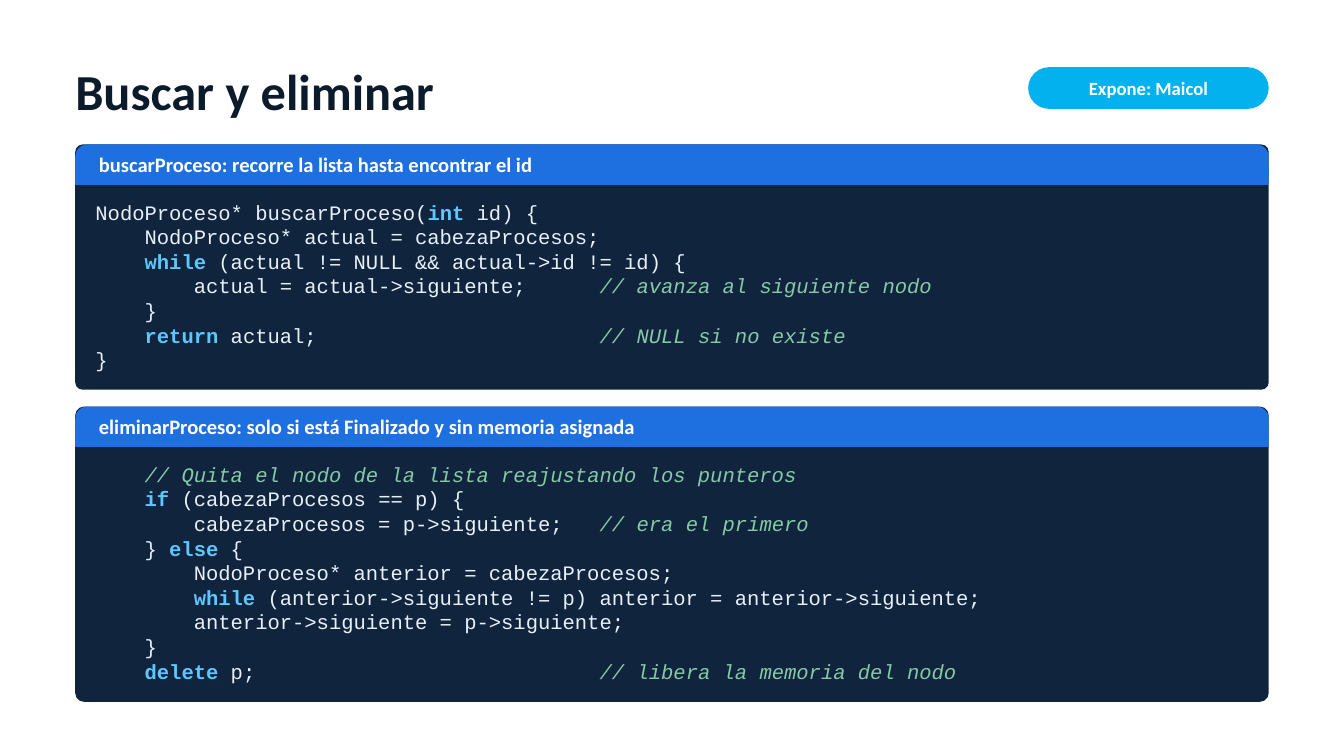
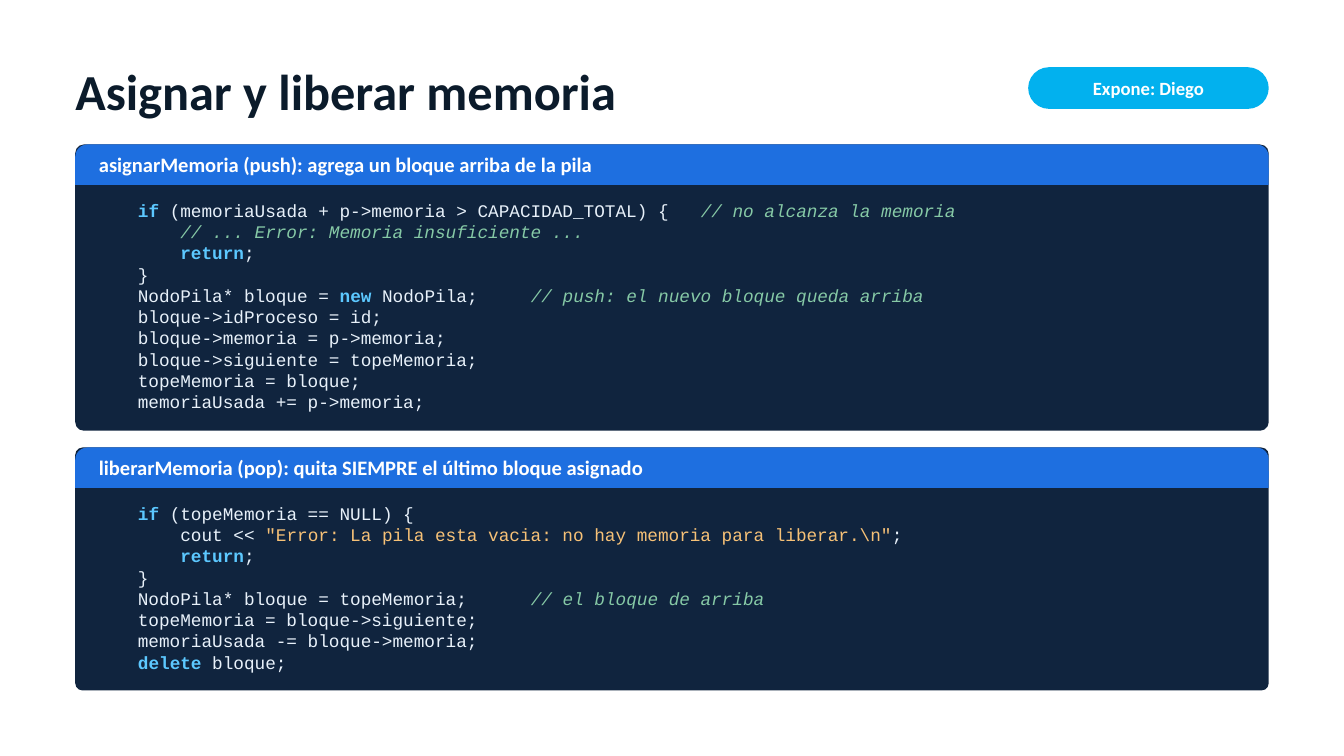
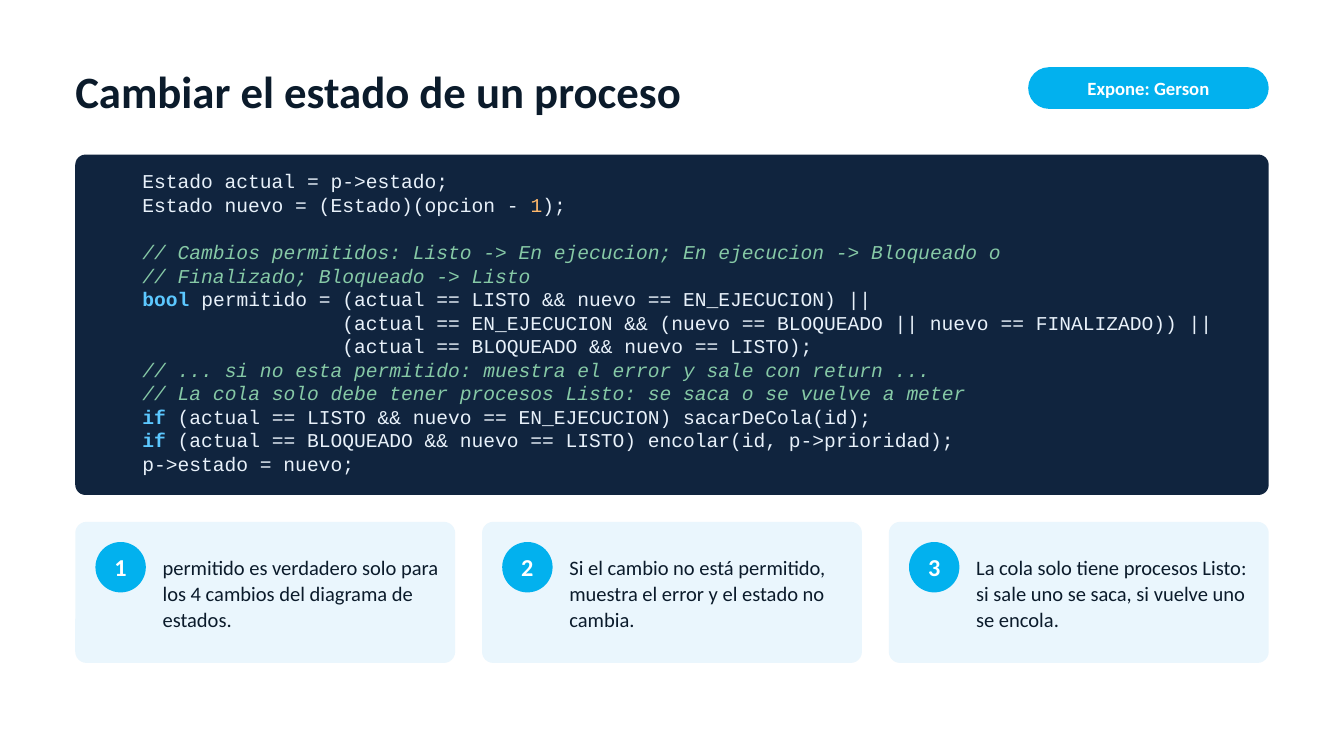
from dataclasses import dataclass
from itertools import groupby
from typing import Iterator, NamedTuple

from pptx import Presentation
from pptx import util as u
from pptx.dml.color import RGBColor
from pptx.enum import shapes, text

WIDTH, HEIGHT = u.Inches(20), u.Inches(11.25)
COLUMN, ROW = WIDTH / 20, HEIGHT / 11.25

COLORS = {
    "ink": "0B1B2B",
    "white": "FFFFFF",
    "pill": "02B1EE",
    "header": "1E6FE0",
    "panel": "10243E",
    "card": "EAF6FD",
    "code": "E8F1FA",
    "keyword": "5CC8FF",
    "comment": "86C9A6",
    "string": "F6C177",
    "number": "FFB86B",
}
BODY_FONT, CODE_FONT = "Calibri", "Courier New"
KEYWORDS = {"int", "while", "return", "if", "else", "delete", "new", "bool"}

MARGIN, CONTENT = 1.12, 17.76
HEADER_ROWS = 0.6
PADDING = 0.22
LINE_ROWS = 1.22 / 72  # height of a code line per point of type
PANEL_GAP, CARD_GAP = 0.25, 0.4


class Area(NamedTuple):
    """A place on the grid: first column and row, then columns and rows covered."""
    left: float
    top: float
    columns: float
    rows: float

    def lengths(self) -> tuple[int, int, int, int]:
        return (round(self.left * COLUMN), round(self.top * ROW),
                round(self.columns * COLUMN), round(self.rows * ROW))


@dataclass
class CodePanel:
    code: str
    header: str = ""

    def lines(self) -> list[str]:
        return self.code.strip("\n").split("\n")


@dataclass
class CodeSlide:
    title: str
    speaker: str
    panels: list[CodePanel]
    code_size: float
    top: float = 2.15
    title_size: float = 54
    notes: tuple[str, ...] = ()


SLIDES = [
    CodeSlide("Buscar y eliminar", "Maicol", code_size=22, panels=[
        CodePanel(header="buscarProceso: recorre la lista hasta encontrar el id", code=r"""
NodoProceso* buscarProceso(int id) {
    NodoProceso* actual = cabezaProcesos;
    while (actual != NULL && actual->id != id) {
        actual = actual->siguiente;      // avanza al siguiente nodo
    }
    return actual;                       // NULL si no existe
}
"""),
        CodePanel(header="eliminarProceso: solo si está Finalizado y sin memoria asignada", code=r"""
    // Quita el nodo de la lista reajustando los punteros
    if (cabezaProcesos == p) {
        cabezaProcesos = p->siguiente;   // era el primero
    } else {
        NodoProceso* anterior = cabezaProcesos;
        while (anterior->siguiente != p) anterior = anterior->siguiente;
        anterior->siguiente = p->siguiente;
    }
    delete p;                            // libera la memoria del nodo
"""),
    ]),
    CodeSlide("Asignar y liberar memoria", "Diego", code_size=19, panels=[
        CodePanel(header="asignarMemoria (push): agrega un bloque arriba de la pila", code=r"""
    if (memoriaUsada + p->memoria > CAPACIDAD_TOTAL) {   // no alcanza la memoria
        // ... Error: Memoria insuficiente ...
        return;
    }
    NodoPila* bloque = new NodoPila;     // push: el nuevo bloque queda arriba
    bloque->idProceso = id;
    bloque->memoria = p->memoria;
    bloque->siguiente = topeMemoria;
    topeMemoria = bloque;
    memoriaUsada += p->memoria;
"""),
        CodePanel(header="liberarMemoria (pop): quita SIEMPRE el último bloque asignado", code=r"""
    if (topeMemoria == NULL) {
        cout << "Error: La pila esta vacia: no hay memoria para liberar.\n";
        return;
    }
    NodoPila* bloque = topeMemoria;      // el bloque de arriba
    topeMemoria = bloque->siguiente;
    memoriaUsada -= bloque->memoria;
    delete bloque;
"""),
    ]),
    CodeSlide("Cambiar el estado de un proceso", "Gerson", code_size=21, top=2.3, title_size=48, panels=[
        CodePanel(r"""
    Estado actual = p->estado;
    Estado nuevo = (Estado)(opcion - 1);

    // Cambios permitidos: Listo -> En ejecucion; En ejecucion -> Bloqueado o
    // Finalizado; Bloqueado -> Listo
    bool permitido = (actual == LISTO && nuevo == EN_EJECUCION) ||
                     (actual == EN_EJECUCION && (nuevo == BLOQUEADO || nuevo == FINALIZADO)) ||
                     (actual == BLOQUEADO && nuevo == LISTO);
    // ... si no esta permitido: muestra el error y sale con return ...
    // La cola solo debe tener procesos Listo: se saca o se vuelve a meter
    if (actual == LISTO && nuevo == EN_EJECUCION) sacarDeCola(id);
    if (actual == BLOQUEADO && nuevo == LISTO) encolar(id, p->prioridad);
    p->estado = nuevo;
"""),
    ], notes=(
        "permitido es verdadero solo para los 4 cambios del diagrama de estados.",
        "Si el cambio no está permitido, muestra el error y el estado no cambia.",
        "La cola solo tiene procesos Listo: si sale uno se saca, si vuelve uno se encola.",
    )),
]


def write(para, words: str, *, size: float, color: str, font: str = BODY_FONT,
          bold: bool = False, italic: bool = False) -> None:
    span = para.add_run()
    span.text = words
    span.font.name, span.font.size = font, u.Pt(size)
    span.font.bold, span.font.italic = bold, italic
    span.font.color.rgb = RGBColor.from_string(COLORS[color])


def set_frame(frame, insets: tuple[float, float, float, float] = (0, 0, 0, 0),
              anchor=text.MSO_ANCHOR.MIDDLE, grow: bool = False) -> None:
    frame.margin_left, frame.margin_top, frame.margin_right, frame.margin_bottom = map(u.Inches, insets)
    frame.vertical_anchor = anchor
    frame.word_wrap = True
    frame.auto_size = text.MSO_AUTO_SIZE.SHAPE_TO_FIT_TEXT if grow else text.MSO_AUTO_SIZE.NONE


def add_box(page, area: Area, color: str, rounding: float | None = None,
            kind=shapes.MSO_SHAPE.ROUNDED_RECTANGLE):
    box = page.shapes.add_shape(kind, *area.lengths())
    box.shadow.inherit = False
    box.fill.solid()
    box.fill.fore_color.rgb = RGBColor.from_string(COLORS[color])
    box.line.fill.background()
    if rounding is not None:
        box.adjustments[0] = rounding
    return box


def add_label(box, words: str, size: float, align=text.PP_ALIGN.CENTER, indent: float = 0.1) -> None:
    set_frame(box.text_frame, (indent, 0.03, 0.1, 0.03))
    para = box.text_frame.paragraphs[0]
    para.alignment = align
    write(para, words, size=size, color="white", bold=True)


def add_text_frame(page, area: Area, anchor=text.MSO_ANCHOR.MIDDLE):
    frame = page.shapes.add_textbox(*area.lengths()).text_frame
    set_frame(frame, anchor=anchor, grow=True)
    return frame


def token_kind(word: str) -> str:
    if word in KEYWORDS:
        return "keyword"
    return "number" if word.isdigit() else "code"


def tokens(line: str) -> Iterator[tuple[str, str]]:
    """Split a line of code into pairs of kind and text."""
    code, slashes, comment = line.partition("//")
    for index, part in enumerate(code.split('"')):
        if index % 2:
            yield "string", f'"{part}"'
            continue
        words = ["".join(chars) for _, chars in groupby(part, lambda char: char.isalnum() or char == "_")]
        for kind, group in groupby(words, token_kind):
            yield kind, "".join(group)
    if slashes:
        yield "comment", slashes + comment


def add_panel(page, panel: CodePanel, top: float, size: float) -> float:
    """Draw a code panel and return the row where it ends."""
    lines = panel.lines()
    code_rows = len(lines) * size * LINE_ROWS
    header_rows = HEADER_ROWS if panel.header else 0
    rows = header_rows + code_rows + 2 * PADDING
    add_box(page, Area(MARGIN, top, CONTENT, rows), "panel", 0.03)
    if panel.header:
        add_box(page, Area(MARGIN, top + 0.35, CONTENT, HEADER_ROWS - 0.35), "header",
                kind=shapes.MSO_SHAPE.RECTANGLE)
        header = add_box(page, Area(MARGIN, top, CONTENT, HEADER_ROWS), "header", 0.3)
        add_label(header, panel.header, 22, text.PP_ALIGN.LEFT, indent=0.3)
    area = Area(MARGIN + 0.3, top + header_rows + PADDING, CONTENT - 0.45, code_rows)
    frame = add_text_frame(page, area, text.MSO_ANCHOR.TOP)
    for index, line in enumerate(lines):
        para = frame.add_paragraph() if index else frame.paragraphs[0]
        for kind, words in tokens(line or " "):
            write(para, words, size=size, color=kind, font=CODE_FONT,
                  bold=kind == "keyword", italic=kind == "comment")
    return top + rows


def add_notes_row(page, notes: tuple[str, ...], top: float) -> None:
    """Draw numbered cards of equal width across the content."""
    columns = (CONTENT - CARD_GAP * (len(notes) - 1)) / len(notes)
    for index, note in enumerate(notes):
        left = MARGIN + index * (columns + CARD_GAP)
        add_box(page, Area(left, top, columns, 2.1), "card", 0.08)
        badge = add_box(page, Area(left + 0.3, top + 0.3, 0.75, 0.75), "pill", kind=shapes.MSO_SHAPE.OVAL)
        add_label(badge, str(index + 1), 26)
        frame = add_text_frame(page, Area(left + 1.3, top + 0.2, columns - 1.55, 1.7))
        para = frame.paragraphs[0]
        para.line_spacing = 1.05
        write(para, note, size=22, color="ink")


def add_heading(page, slide: CodeSlide) -> None:
    title = page.shapes.title
    title.left, title.top, title.width, title.height = Area(MARGIN, 0.7, 14, 1.3).lengths()
    set_frame(title.text_frame)
    para = title.text_frame.paragraphs[0]
    para.alignment = text.PP_ALIGN.LEFT
    write(para, slide.title, size=slide.title_size, color="ink", bold=True)
    pill = add_box(page, Area(MARGIN + CONTENT - 3.58, 1, 3.58, 0.62), "pill", 0.5)
    add_label(pill, f"Expone: {slide.speaker}", 20)


def main() -> None:
    deck = Presentation()
    deck.slide_width, deck.slide_height = WIDTH, HEIGHT
    title_only = deck.slide_layouts[5]
    for slide in SLIDES:
        page = deck.slides.add_slide(title_only)
        add_heading(page, slide)
        top = slide.top
        for panel in slide.panels:
            bottom = add_panel(page, panel, top, slide.code_size)
            top = bottom + PANEL_GAP
        if slide.notes:
            add_notes_row(page, slide.notes, bottom + CARD_GAP)
    deck.save("out.pptx")


if __name__ == "__main__":
    main()
